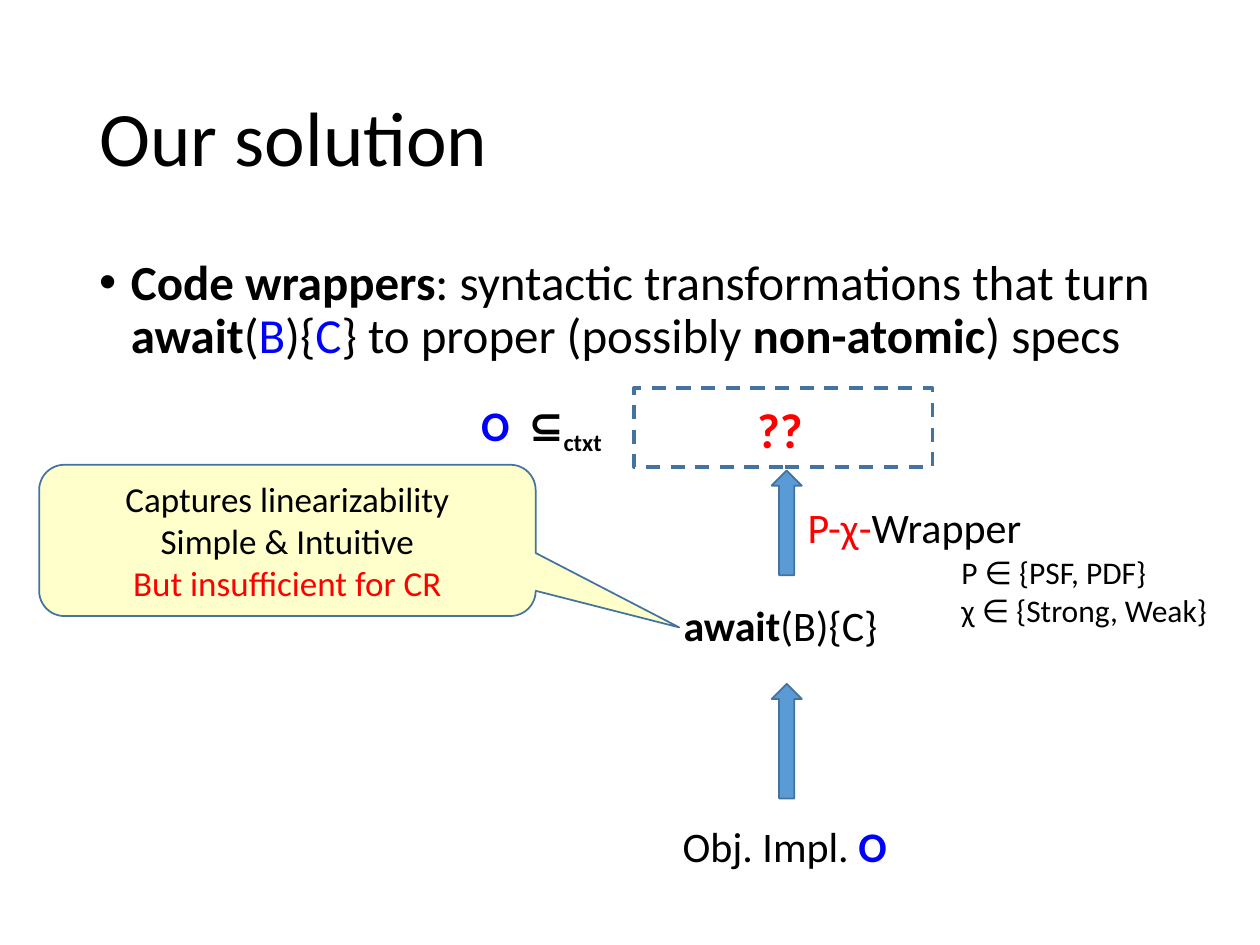
from lxml import etree
from pptx import Presentation
from pptx.dml.color import RGBColor
from pptx.enum.dml import MSO_LINE
from pptx.enum.shapes import MSO_SHAPE
from pptx.enum.text import MSO_ANCHOR, PP_ALIGN
from pptx.oxml.ns import qn
from pptx.util import Cm, Pt

BLACK = RGBColor(0x00, 0x00, 0x00)
WHITE = RGBColor(0xFF, 0xFF, 0xFF)
RED = RGBColor(0xFF, 0x00, 0x00)
BLUE = RGBColor(0x00, 0x00, 0xFF)
ARROW_BLUE = RGBColor(0x5B, 0x9B, 0xD5)
EDGE_BLUE = RGBColor(0x43, 0x73, 0x9E)
CREAM = RGBColor(0xFF, 0xFF, 0xCC)

RECTANGLE = MSO_SHAPE.RECTANGLE
RIGHT_ARROW = MSO_SHAPE.RIGHT_ARROW
CALLOUT = MSO_SHAPE.ROUNDED_RECTANGULAR_CALLOUT
DASH = MSO_LINE.DASH
TOP, MIDDLE = MSO_ANCHOR.TOP, MSO_ANCHOR.MIDDLE
LEFT, CENTER = PP_ALIGN.LEFT, PP_ALIGN.CENTER
FONT = "Calibri"


def write_spans(para, spans, size):
    """Fill a paragraph with (text, colour, bold) spans."""
    for text, color, bold in spans:
        span = para.add_run()
        span.text = text
        span.font.name = FONT
        span.font.size = Pt(size)
        span.font.bold = bold
        span.font.color.rgb = color


def write_lines(shape, lines, size, align=LEFT, anchor=TOP, wrap=True):
    """Write one paragraph per list of spans and return the paragraphs."""
    frame = shape.text_frame
    frame.word_wrap = wrap
    frame.vertical_anchor = anchor
    for index, spans in enumerate(lines):
        para = frame.add_paragraph() if index else frame.paragraphs[0]
        para.alignment = align
        write_spans(para, spans, size)
    return frame.paragraphs


def add_label(page, box, lines, size, **layout):
    """Add a text box and return its paragraphs."""
    label = page.shapes.add_textbox(*map(Cm, box))
    return write_lines(label, lines, size, **layout)


def add_block(page, kind, box, fill=None, edge=None, width=1):
    """Add a flat preset shape with optional fill and edge."""
    block = page.shapes.add_shape(kind, *map(Cm, box))
    block.shadow.inherit = False
    if fill is None:
        block.fill.background()
    else:
        block.fill.solid()
        block.fill.fore_color.rgb = fill
    if edge is None:
        block.line.fill.background()
    else:
        block.line.color.rgb = edge
        block.line.width = Pt(width)
    return block


def add_up_arrow(page, center, middle, length):
    """Add an upward block arrow around a centre point."""
    thickness = 0.61
    box = (center - length / 2, middle - thickness / 2, length, thickness)
    add_block(page, RIGHT_ARROW, box, ARROW_BLUE, EDGE_BLUE).rotation = 270


def add_title(page, box):
    """Place the slide title."""
    paras = add_label(page, box, [[("Our solution", BLACK, False)]], 44, anchor=MIDDLE)
    paras[0].line_spacing = 0.9


def add_body(page, box):
    """Place the bulleted definition of code wrappers."""
    spans = [
        ("Code wrappers", BLACK, True),
        (": syntactic transformations that turn ", BLACK, False),
        ("await", BLACK, True),
        ("(", BLACK, False),
        ("B", BLUE, False),
        ("){", BLACK, False),
        ("C", BLUE, False),
        ("} to proper (possibly ", BLACK, False),
        ("non-atomic", BLACK, True),
        (") specs", BLACK, False),
    ]
    para = add_label(page, box, [spans], 28)[0]
    para.line_spacing = 0.9
    properties = para._p.get_or_add_pPr()
    properties.set("marL", str(Cm(0.64)))
    properties.set("indent", str(-Cm(0.64)))
    etree.SubElement(properties, qn("a:buFont"), typeface="Arial")
    etree.SubElement(properties, qn("a:buChar"), char="•")


def add_refinement(page, box):
    """Place the refinement relation and the dashed specification box."""
    left, top, width, height = box
    spans = [("O\t", BLUE, True), ("⊆", BLACK, True), ("ctxt", BLACK, True)]
    para = add_label(page, (left, top + 0.1, 3.3, 1.27), [spans], 24, wrap=False)[0]
    tabs = etree.SubElement(para._p.get_or_add_pPr(), qn("a:tabLst"))
    etree.SubElement(tabs, qn("a:tab"), pos=str(Cm(0.95)), algn="l")
    para.runs[-1].font._element.set("baseline", "-25000")

    spec_left, spec_width = left + 3.33, width - 3.33
    inner = (spec_left + 0.07, top + 0.1, spec_width - 0.28, height - 0.15)
    unknown = add_block(page, RECTANGLE, inner, WHITE)
    write_lines(unknown, [[("??", RED, True)]], 28, align=CENTER)
    outline = (spec_left, top, spec_width, height)
    frame = add_block(page, RECTANGLE, outline, edge=EDGE_BLUE, width=2)
    frame.line.dash_style = DASH


def add_ladder(page, box):
    """Place the steps from object implementation up to its wrapper."""
    left, top, width, height = box
    center = left + 3.21
    implementation = [("Obj. Impl. ", BLACK, False), ("O", BLUE, True)]
    add_label(page, (left + 0.86, top + height - 1.27, 4.67, 1.27), [implementation], 24, wrap=False)
    awaiting = [("await", BLACK, True), ("(B){C}", BLACK, False)]
    add_label(page, (left, top + 2.46, 6.17, 1.27), [awaiting], 24, align=CENTER)
    add_up_arrow(page, center, top + 5.44, 2.31)
    add_up_arrow(page, center, top + 1.04, 2.11)
    wrapper = [("P-χ-", RED, False), ("Wrapper", BLACK, False)]
    add_label(page, (left + 3.38, top + 0.48, 5.13, 1.27), [wrapper], 24, wrap=False)
    choices = [[("P ∈ {PSF, PDF}", BLACK, False)], [("χ ∈ {Strong, Weak}", BLACK, False)]]
    add_label(page, (left + width - 5.72, top + 1.52, 5.72, 1.8), choices, 18, wrap=False)


def add_callout(page, box):
    """Place the callout that assesses the await specification."""
    callout = add_block(page, CALLOUT, box, CREAM, EDGE_BLUE)
    for index, value in enumerate((0.789, 0.575, 0.167)):
        callout.adjustments[index] = value
    lines = [
        [("Captures linearizability", BLACK, False)],
        [("Simple & Intuitive", BLACK, False)],
        [("But insufficient for CR", RED, False)],
    ]
    write_lines(callout, lines, 20, align=CENTER, anchor=MIDDLE)


def main():
    """Build and save the one-slide deck."""
    deck = Presentation()
    deck.slide_width, deck.slide_height = Cm(25.4), Cm(19.05)
    page = deck.slides.add_slide(deck.slide_layouts[6])
    add_title(page, (1.75, 1.02, 21.89, 3.68))
    add_body(page, (1.75, 5.08, 21.89, 12.09))
    add_refinement(page, (9.45, 7.82, 9.35, 1.6))
    add_callout(page, (0.79, 9.37, 10.01, 3.05))
    add_ladder(page, (12.65, 9.5, 12.2, 8.18))
    deck.save("out.pptx")


if __name__ == "__main__":
    main()
